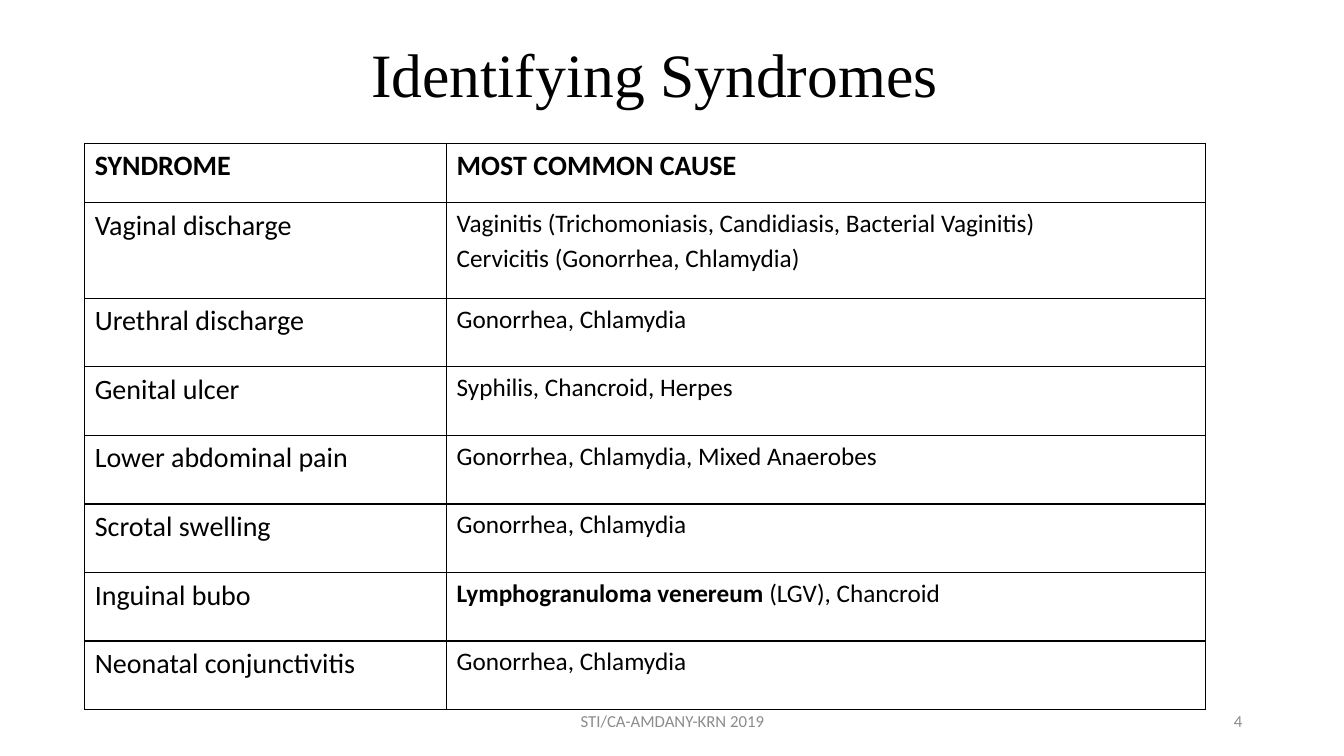
from lxml import etree
from pptx import Presentation, util as u
from pptx.dml.color import RGBColor
from pptx.enum import text
from pptx.oxml.ns import qn

COLORS = {"ink": "000000", "muted": "8C8C8C", "grid": "000000"}
ROWS = [
    ("SYNDROME", ["MOST COMMON CAUSE"]),
    ("Vaginal discharge", ["Vaginitis (Trichomoniasis, Candidiasis, Bacterial Vaginitis)",
                           "Cervicitis (Gonorrhea, Chlamydia)"]),
    ("Urethral discharge", ["Gonorrhea, Chlamydia"]),
    ("Genital ulcer", ["Syphilis, Chancroid, Herpes"]),
    ("Lower abdominal pain", ["Gonorrhea, Chlamydia, Mixed Anaerobes"]),
    ("Scrotal swelling", ["Gonorrhea, Chlamydia"]),
    ("Inguinal bubo", [[("Lymphogranuloma venereum", True), (" (LGV), Chancroid", False)]]),
    ("Neonatal conjunctivitis", ["Gonorrhea, Chlamydia"]),
]


def write(tf, lines, size, font="Calibri", color="ink", bold=False,
          align=text.PP_ALIGN.LEFT, spacing=None, before=0):
    """Fill a frame; a line is a string or a list of (string, bold) runs."""
    for i, line in enumerate(lines):
        p = tf.paragraphs[0] if i == 0 else tf.add_paragraph()
        p.alignment = align
        if spacing:
            p.line_spacing = spacing
        if i and before:
            p.space_before = u.Pt(before)
        for words, strong in ([(line, bold)] if isinstance(line, str) else line):
            r = p.add_run()
            r.text = words
            r.font.name, r.font.size, r.font.bold = font, u.Pt(size), strong
            r.font.color.rgb = RGBColor.from_string(COLORS[color])


def add_title(s, left, top, width, height):
    sp = s.shapes.title
    sp.left, sp.top, sp.width, sp.height = map(u.Inches, (left, top, width, height))
    sp.text_frame.vertical_anchor = text.MSO_ANCHOR.TOP
    sp.text_frame.auto_size = text.MSO_AUTO_SIZE.NONE
    write(sp.text_frame, ["Identifying Syndromes"], 44, font="Times New Roman",
          align=text.PP_ALIGN.CENTER)


def set_borders(cell):
    tc_pr = cell._tc.get_or_add_tcPr()
    for i, side in enumerate(("lnL", "lnR", "lnT", "lnB")):
        ln = etree.Element(qn("a:" + side), w=str(u.Pt(1)))
        fill = etree.SubElement(ln, qn("a:solidFill"))
        etree.SubElement(fill, qn("a:srgbClr"), val=COLORS["grid"])
        tc_pr.insert(i, ln)


def add_syndrome_table(s, left, top, width, height):
    table = s.shapes.add_table(len(ROWS), 2, *map(u.Inches, (left, top, width, height))).table
    table.first_row = table.horz_banding = False
    # Column widths and row heights
    name_w, head_h, tall_h = 3.59, 0.59, 0.95
    row_h = (height - head_h - tall_h) / (len(ROWS) - 2)
    for column, w in zip(table.columns, (name_w, width - name_w)):
        column.width = u.Inches(w)
    for i, (name, causes) in enumerate(ROWS):
        table.rows[i].height = u.Inches((head_h, tall_h)[i] if i < 2 else row_h)
        for j, lines in enumerate(([name], causes)):
            cell = table.cell(i, j)
            cell.fill.background()
            cell.margin_top = u.Inches(0.07)
            set_borders(cell)
            write(cell.text_frame, lines, 20 if i == 0 or j == 0 else 18,
                  bold=i == 0, spacing=0.93, before=4.5)


def add_footer(s, words, align, left, top, width, height):
    tf = s.shapes.add_textbox(*map(u.Inches, (left, top, width, height))).text_frame
    tf.word_wrap = True
    tf.vertical_anchor = text.MSO_ANCHOR.MIDDLE
    write(tf, [words], 12, color="muted", align=align)


def main():
    prs = Presentation()
    prs.slide_width, prs.slide_height = u.Inches(13.33), u.Inches(7.5)
    s = prs.slides.add_slide(prs.slide_layouts[5])
    add_title(s, 2.22, 0.31, 8.55, 0.8)
    add_syndrome_table(s, 0.84, 1.42, 11.12, 5.62)
    add_footer(s, "4", text.PP_ALIGN.RIGHT, 9.42, 6.95, 3, 0.4)
    add_footer(s, "STI/CA-AMDANY-KRN 2019", text.PP_ALIGN.CENTER, 4.42, 6.95, 4.5, 0.4)
    prs.save("out.pptx")


if __name__ == "__main__":
    main()
